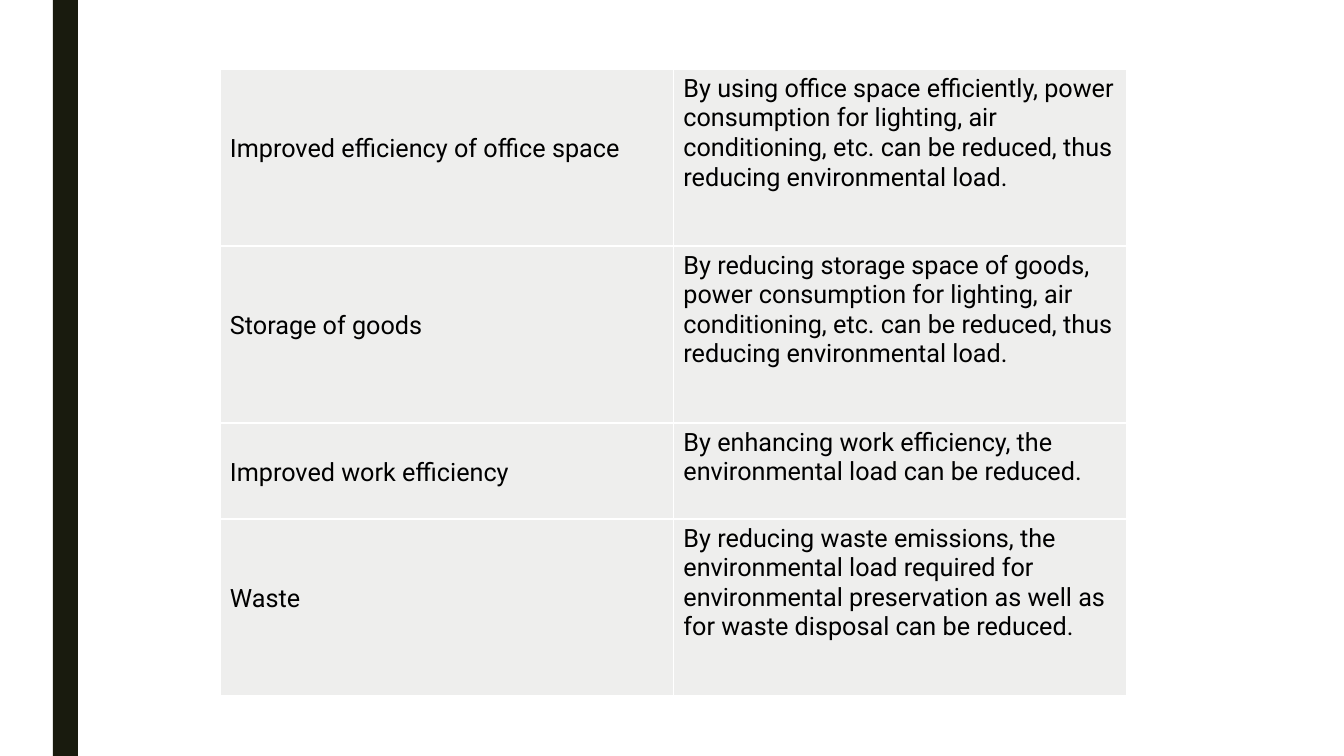
from lxml import etree
from pptx import Presentation
from pptx.dml.color import RGBColor
from pptx.enum import shapes, text
from pptx.oxml import ns
from pptx.util import Pt

SCALE = 914400 / 100.8
BAR = RGBColor(0x19, 0x1B, 0x0E)
CELL = RGBColor(0xEE, 0xEE, 0xED)
BORDER = RGBColor(0xFF, 0xFF, 0xFF)
BLACK = RGBColor(0, 0, 0)
FONT = "Roboto"
LINE = 30      # height of one text line
PAD_X, PAD_Y = 10, 5

# Topic, effect, row height, lines the topic is lowered by
ROWS = [
    ("Improved efficiency of office space",
     "By using office space efficiently, power consumption for lighting, air "
     "conditioning, etc. can be reduced, thus reducing environmental load.", 177, 2),
    ("Storage of goods",
     "By reducing storage space of goods, power consumption for lighting, air "
     "conditioning, etc. can be reduced, thus reducing environmental load.", 177, 2),
    ("Improved work efficiency",
     "By enhancing work efficiency, the environmental load can be reduced.", 96, 1),
    ("Waste",
     "By reducing waste emissions, the environmental load required for environmental "
     "preservation as well as for waste disposal can be reduced.", 177, 2),
]


def px(n):
    return round(n * SCALE)


def add_borders(cell):
    tc_pr = cell._tc.get_or_add_tcPr()
    for i, side in enumerate(("lnL", "lnR", "lnT", "lnB")):
        ln = etree.Element(ns.qn("a:" + side), w=str(Pt(1)))
        fill = etree.SubElement(ln, ns.qn("a:solidFill"))
        etree.SubElement(fill, ns.qn("a:srgbClr"), val=str(BORDER))
        tc_pr.insert(i, ln)


def fill_cell(cell, words, lowered):
    cell.fill.solid()
    cell.fill.fore_color.rgb = CELL
    add_borders(cell)
    cell.margin_left = cell.margin_right = px(PAD_X)
    cell.margin_top = px(PAD_Y + lowered * LINE)
    cell.margin_bottom = px(PAD_Y)
    cell.vertical_anchor = text.MSO_ANCHOR.TOP
    p = cell.text_frame.paragraphs[0]
    p.alignment = text.PP_ALIGN.LEFT
    r = p.add_run()
    r.text = words
    r.font.name = FONT
    r.font.size = Pt(18)
    r.font.color.rgb = BLACK


def side_bar(s, x, y, w, h):
    sp = s.shapes.add_shape(shapes.MSO_SHAPE.RECTANGLE, px(x), px(y), px(w), px(h))
    sp.shadow.inherit = False
    sp.fill.solid()
    sp.fill.fore_color.rgb = BAR
    sp.line.fill.background()


def effects_table(s, x, y, w, h):
    tbl = s.shapes.add_table(len(ROWS), 2, px(x), px(y), px(w), px(h)).table
    tbl.first_row = tbl.horz_banding = False
    for col in tbl.columns:
        col.width = px(w / 2)
    for i, (topic, effect, height, lowered) in enumerate(ROWS):
        tbl.rows[i].height = px(height)
        fill_cell(tbl.cell(i, 0), topic, lowered)
        fill_cell(tbl.cell(i, 1), effect, 0)


prs = Presentation()
prs.slide_width, prs.slide_height = px(1344), px(756)
s = prs.slides.add_slide(prs.slide_layouts[6])

# Dark bar on the left edge
side_bar(s, 53, 0, 25, 756)
# Environmental effects by topic
effects_table(s, 220, 69, 907, sum(row[2] for row in ROWS))

prs.save("out.pptx")
